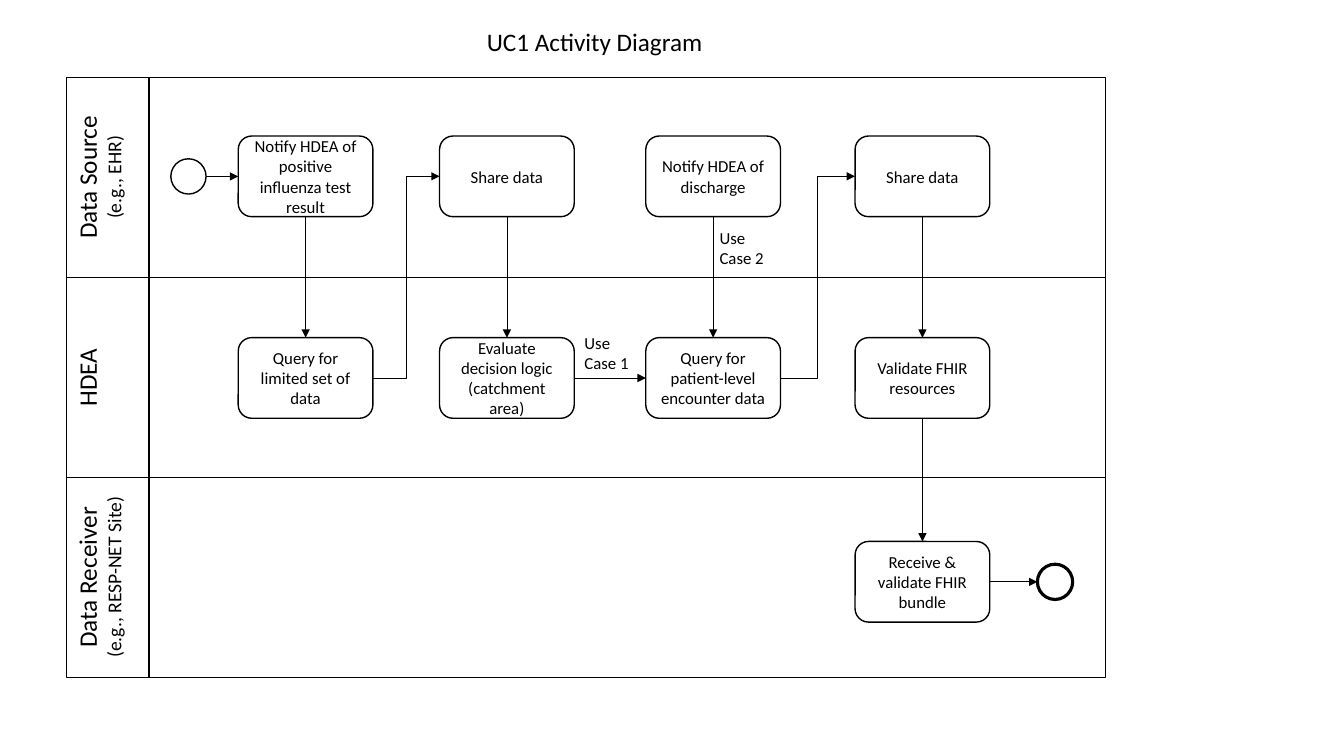
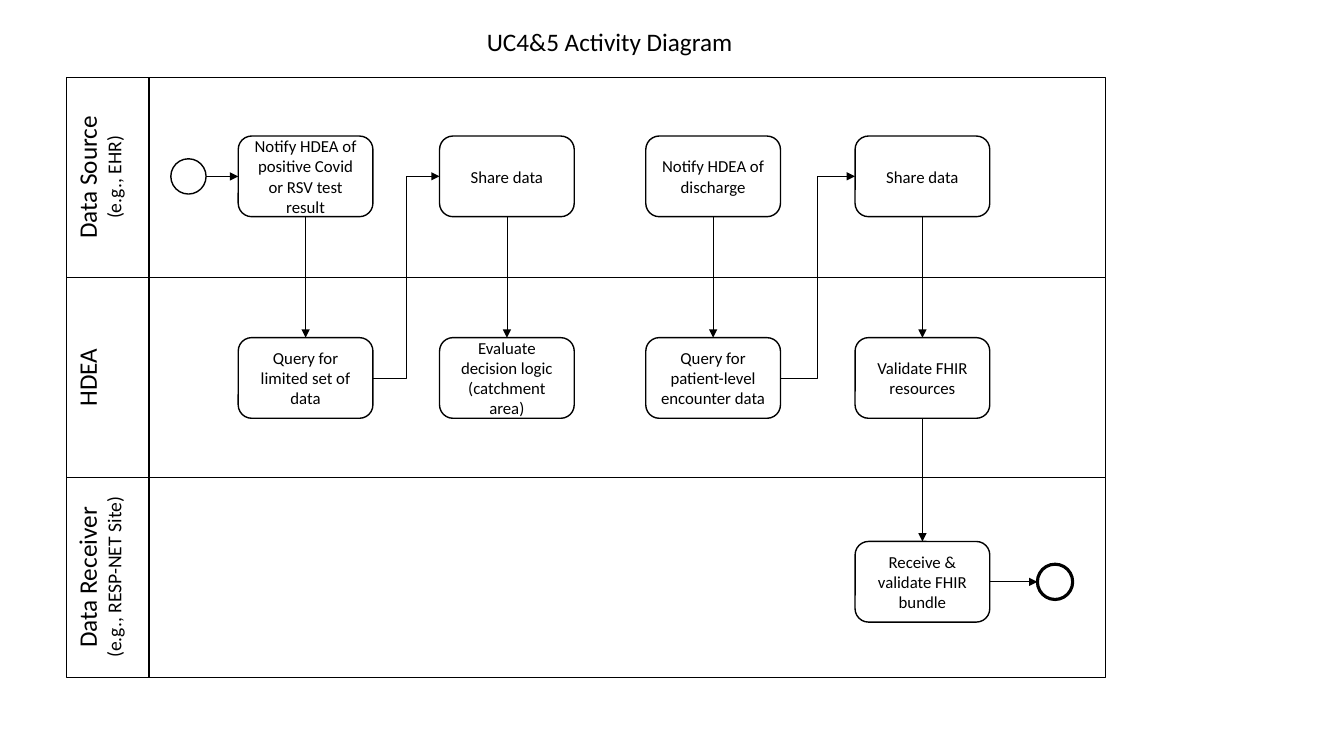
import lxml.etree
import pptx
import pptx.dml.color
import pptx.enum.shapes
import pptx.enum.text
import pptx.oxml.ns
import pptx.util

Pt = pptx.util.Pt
qn = pptx.oxml.ns.qn
SHAPES = pptx.enum.shapes.MSO_SHAPE
CONNECTORS = pptx.enum.shapes.MSO_CONNECTOR
ALIGN = pptx.enum.text.PP_ALIGN
ANCHOR = pptx.enum.text.MSO_ANCHOR

# Shared style
FONT, BLACK, WHITE = "Calibri", "000000", "FFFFFF"
TOP, LEFT, BOTTOM, RIGHT = range(4)

# Shared content
LANES = [
    [("Data Source", 18), ("(e.g., EHR)", 14)],
    [("HDEA", 18)],
    [("Data Receiver", 18), ("(e.g., RESP-NET Site)", 14)],
]
# name: (column, row, text)
STEPS = {
    "query limited": (0, 1, "Query for limited set of data"),
    "share first": (1, 0, "Share data"),
    "evaluate": (1, 1, "Evaluate decision logic (catchment area)"),
    "discharge": (2, 0, "Notify HDEA of discharge"),
    "query patient": (2, 1, "Query for patient-level encounter data"),
    "share second": (3, 0, "Share data"),
    "validate": (3, 1, "Validate FHIR resources"),
    "receive": (3, 2, "Receive & validate FHIR bundle"),
}
# (from step, side, to step, side)
FLOWS = [
    ("notify", BOTTOM, "query limited", TOP),
    ("query limited", RIGHT, "share first", LEFT),
    ("share first", BOTTOM, "evaluate", TOP),
    ("discharge", BOTTOM, "query patient", TOP),
    ("query patient", RIGHT, "share second", LEFT),
    ("share second", BOTTOM, "validate", TOP),
    ("validate", BOTTOM, "receive", TOP),
]

# What differs between the diagrams
DIAGRAMS = [
    {
        "title": "UC1 Activity Diagram",
        "notify": "Notify HDEA of positive influenza test result",
        "flows": [("evaluate", RIGHT, "query patient", LEFT)],
        "labels": [("Use Case 1", 410.4, 234), ("Use Case 2", 506.9, 159.1)],
    },
    {
        "title": "UC4&5 Activity Diagram",
        "notify": "Notify HDEA of positive Covid or RSV test result",
        "flows": [],
        "labels": [],
    },
]

# Layout in points
LANE_LEFT, LANE_TOP, LANE_WIDTH, LANE_HEIGHT = 47.6, 55.4, 742.2, 142.8
DIVIDER_X, LANE_LABEL_WIDTH = 106.5, 53
COLUMNS = [170.2, 314, 461.3, 610.8]
ROWS = [97.2, 241.2, 386.8]
STEP_WIDTH, STEP_HEIGHT = 96.2, 57.6
CIRCLE = 25.2
START_LEFT, END_LEFT = 122, 741


def color(value):
    return pptx.dml.color.RGBColor.from_string(value)


def write(shape, lines, align=ALIGN.LEFT, anchor=ANCHOR.TOP):
    frame = shape.text_frame
    frame.word_wrap = True
    frame.vertical_anchor = anchor
    for index, (text, size) in enumerate(lines):
        paragraph = frame.add_paragraph() if index else frame.paragraphs[0]
        paragraph.text = text
        paragraph.alignment = align
        paragraph.font.name = FONT
        paragraph.font.size = Pt(size)
        paragraph.font.color.rgb = color(BLACK)


def add_text(slide, box, lines, align=ALIGN.LEFT):
    shape = slide.shapes.add_textbox(*map(Pt, box))
    write(shape, lines, align)
    return shape


def add_outline(slide, kind, box, fill=WHITE, width=1):
    shape = slide.shapes.add_shape(kind, *map(Pt, box))
    shape.shadow.inherit = False
    if fill:
        shape.fill.solid()
        shape.fill.fore_color.rgb = color(fill)
    else:
        shape.fill.background()
    shape.line.color.rgb = color(BLACK)
    shape.line.width = Pt(width)
    return shape


def add_line(slide, start, end, kind=CONNECTORS.STRAIGHT, width=0.5, arrow=True):
    line = slide.shapes.add_connector(kind, *map(Pt, start + end))
    line.line.color.rgb = color(BLACK)
    line.line.width = Pt(width)
    properties = line.element.spPr
    if arrow:
        outline = properties.find(qn("a:ln"))
        lxml.etree.SubElement(outline, qn("a:tailEnd"), type="triangle")
    lxml.etree.SubElement(properties, qn("a:effectLst"))
    return line


def add_lanes(slide):
    for index in reversed(range(len(LANES))):
        top = LANE_TOP + index * LANE_HEIGHT
        add_outline(slide, SHAPES.RECTANGLE, (LANE_LEFT, top, LANE_WIDTH, LANE_HEIGHT))
    bottom = LANE_TOP + len(LANES) * LANE_HEIGHT
    add_line(slide, (DIVIDER_X, LANE_TOP), (DIVIDER_X, bottom), width=1, arrow=False)
    for index, lines in enumerate(LANES):
        top = LANE_TOP + index * LANE_HEIGHT
        label = add_text(slide, (LANE_LEFT, top, LANE_LABEL_WIDTH, LANE_HEIGHT),
                         lines, ALIGN.CENTER)
        label.text_frame._txBody.bodyPr.set("vert", "vert270")


def add_step(slide, column, row, text):
    box = (COLUMNS[column], ROWS[row], STEP_WIDTH, STEP_HEIGHT)
    step = add_outline(slide, SHAPES.FLOWCHART_ALTERNATE_PROCESS, box)
    write(step, [(text, 12)], ALIGN.CENTER, ANCHOR.MIDDLE)
    return step


def add_flow(slide, source, source_side, target, target_side):
    straight = source.left == target.left or source.top == target.top
    kind = CONNECTORS.STRAIGHT if straight else CONNECTORS.ELBOW
    flow = add_line(slide, (0, 0), (0, 0), kind)
    flow.begin_connect(source, source_side)
    flow.end_connect(target, target_side)


def add_circle(slide, left, row, width):
    middle = ROWS[row] + STEP_HEIGHT / 2
    box = (left, middle - CIRCLE / 2, CIRCLE, CIRCLE)
    add_outline(slide, SHAPES.FLOWCHART_CONNECTOR, box, None, width)
    return middle


def add_diagram(presentation, diagram):
    slide = presentation.slides.add_slide(presentation.slide_layouts[6])
    add_text(slide, (340.6, 15.1, 252.7, 29), [(diagram["title"], 18)])
    add_lanes(slide)

    # Steps and the flows between them
    contents = {"notify": (0, 0, diagram["notify"]), **STEPS}
    steps = {name: add_step(slide, *step) for name, step in contents.items()}
    for source, source_side, target, target_side in FLOWS + diagram["flows"]:
        add_flow(slide, steps[source], source_side, steps[target], target_side)

    # Start and end circles
    middle = add_circle(slide, START_LEFT, 0, 1)
    start = add_line(slide, (START_LEFT + CIRCLE, middle), (COLUMNS[0], middle))
    start.end_connect(steps["notify"], LEFT)
    middle = add_circle(slide, END_LEFT, 2, 2.25)
    end = add_line(slide, (COLUMNS[-1] + STEP_WIDTH, middle), (END_LEFT, middle))
    end.begin_connect(steps["receive"], RIGHT)

    # Flow labels
    for text, left, top in diagram["labels"]:
        add_text(slide, (left, top, 54, 36), [(text, 12)])


def main():
    presentation = pptx.Presentation()
    presentation.slide_width = Pt(960)
    presentation.slide_height = Pt(540)
    for diagram in DIAGRAMS:
        add_diagram(presentation, diagram)
    presentation.save("out.pptx")


if __name__ == "__main__":
    main()
